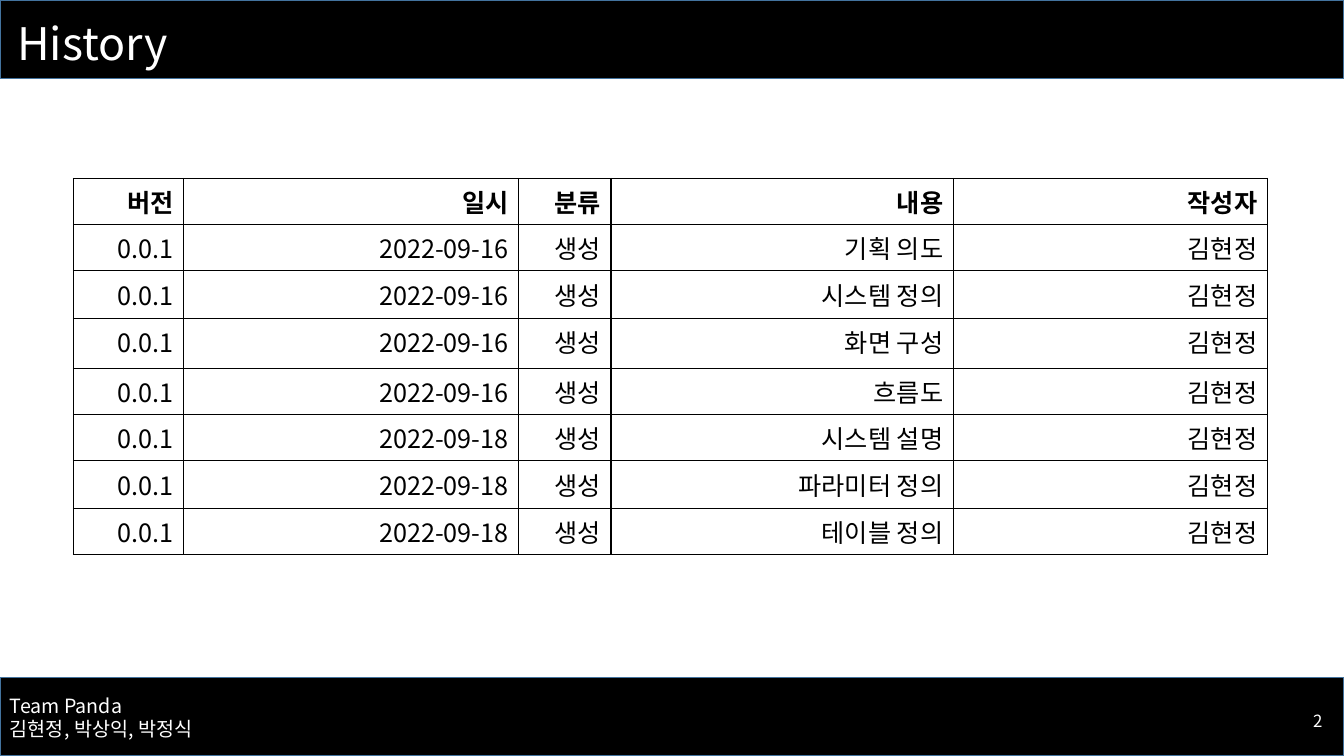
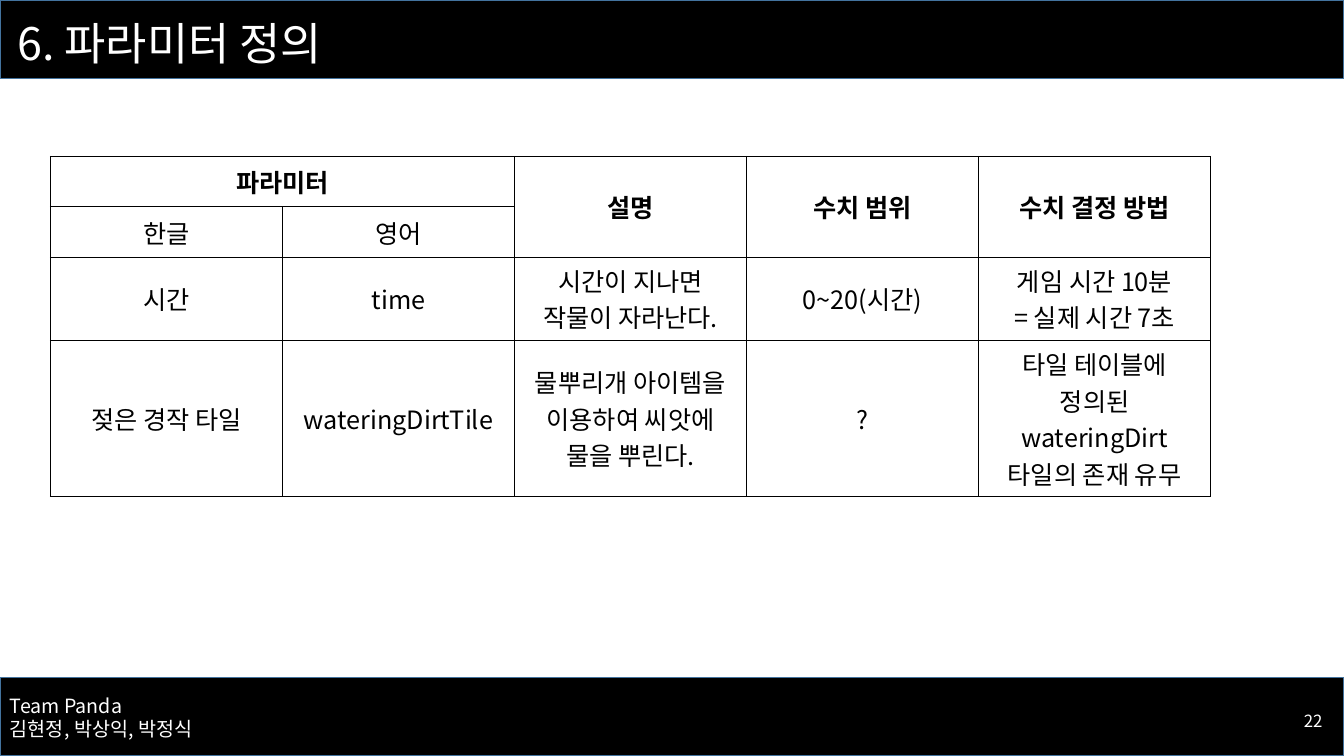
from lxml import etree
from pptx import Presentation
from pptx import util as u
from pptx.dml.color import RGBColor
from pptx.enum import shapes, text
from pptx.oxml.ns import qn

PX = 9525  # EMU per px: the slide is 1280 x 720 px
FONT = "Noto Sans CJK KR"
BLACK = RGBColor(0x00, 0x00, 0x00)
WHITE = RGBColor(0xFF, 0xFF, 0xFF)
BAND_EDGE = RGBColor(0x43, 0x73, 0x9E)
LEFT, CENTER, RIGHT = text.PP_ALIGN.LEFT, text.PP_ALIGN.CENTER, text.PP_ALIGN.RIGHT
TOP, MIDDLE = text.MSO_ANCHOR.TOP, text.MSO_ANCHOR.MIDDLE

BAND_TOPS = (0, 645)
BAND_HEIGHT = 75
TEAM = "Team Panda\n김현정, 박상익, 박정식"

# The header row of the history is followed by one row per change
changes = [
    ("2022-09-16", "기획 의도"),
    ("2022-09-16", "시스템 정의"),
    ("2022-09-16", "화면 구성"),
    ("2022-09-16", "흐름도"),
    ("2022-09-18", "시스템 설명"),
    ("2022-09-18", "파라미터 정의"),
    ("2022-09-18", "테이블 정의"),
]
history = [("버전", "일시", "분류", "내용", "작성자")]
history += [("0.0.1", day, "생성", topic, "김현정") for day, topic in changes]

parameters = [
    ("파라미터", "", "설명", "수치 범위", "수치 결정 방법"),
    ("한글", "영어", "", "", ""),
    ("시간", "time", "시간이 지나면 작물이 자라난다.", "0~20(시간)",
     "게임 시간 10분\n= 실제 시간 7초"),
    ("젖은 경작 타일", "wateringDirtTile",
     "물뿌리개 아이템을 이용하여 씨앗에 물을 뿌린다.", "?",
     "타일 테이블에 정의된 wateringDirt 타일의 존재 유무"),
]

pages = [
    dict(title="History", number=2, rows=history, corner=(70, 170),
         widths=(105, 319, 88, 326, 299), heights=(44, 44, 45, 48, 44, 44, 45, 44),
         align=RIGHT, anchor=TOP, merges=()),
    dict(title="6. 파라미터 정의", number=22, rows=parameters, corner=(48, 149),
         widths=(221,) * 5, heights=(48, 48, 79, 149),
         align=CENTER, anchor=MIDDLE,
         merges=((0, 0, 0, 1), (0, 2, 1, 2), (0, 3, 1, 3), (0, 4, 1, 4))),
]


def write(frame, words, size, color, align=LEFT, bold=False, spacing=None):
    """Fill a text frame, one paragraph a line, in the deck's font."""
    frame.text = words
    for paragraph in frame.paragraphs:
        paragraph.alignment = align
        paragraph.line_spacing = spacing
        font = paragraph.font
        font.size, font.bold, font.name = u.Pt(size), bold, FONT
        font.color.rgb = color
        defaults = paragraph._p.pPr.find(qn("a:defRPr"))
        etree.SubElement(defaults, qn("a:ea"), typeface=FONT)


def outline(cell):
    """Draw a thin black border on all four sides of a table cell."""
    properties = cell._tc.get_or_add_tcPr()
    for side in ("a:lnL", "a:lnR", "a:lnT", "a:lnB"):
        border = etree.SubElement(properties, qn(side), w=str(u.Pt(1)))
        fill = etree.SubElement(border, qn("a:solidFill"))
        etree.SubElement(fill, qn("a:srgbClr"), val=str(BLACK))


deck = Presentation()
deck.slide_width, deck.slide_height = 1280 * PX, 720 * PX

for page in pages:
    slide = deck.slides.add_slide(deck.slide_layouts[6])

    for top in BAND_TOPS:
        band = slide.shapes.add_shape(
            shapes.MSO_SHAPE.RECTANGLE, 0, top * PX, 1280 * PX, BAND_HEIGHT * PX)
        band.shadow.inherit = False
        band.fill.solid()
        band.fill.fore_color.rgb = BLACK
        band.line.color.rgb = BAND_EDGE
        band.line.width = u.Pt(1)

    for words, box, size, align, anchor, spacing in (
        (TEAM, (0, 656, 288, 55), 14, LEFT, TOP, None),
        (str(page["number"]), (981, 667, 288, 38), 12, RIGHT, MIDDLE, None),
        (page["title"], (7, 3, 1104, 82), 32, LEFT, MIDDLE, 0.9),
    ):
        frame = slide.shapes.add_textbox(*(side * PX for side in box)).text_frame
        frame.word_wrap = True
        frame.vertical_anchor = anchor
        write(frame, words, size, WHITE, align, spacing=spacing)

    rows, widths, heights = page["rows"], page["widths"], page["heights"]
    left, top = page["corner"]
    table = slide.shapes.add_table(
        len(rows), len(widths), left * PX, top * PX,
        sum(widths) * PX, sum(heights) * PX).table
    table.first_row = table.horz_banding = False
    for column, width in zip(table.columns, widths):
        column.width = width * PX
    for row, height in zip(table.rows, heights):
        row.height = height * PX

    for r, row in enumerate(rows):
        for c, words in enumerate(row):
            cell = table.cell(r, c)
            outline(cell)
            cell.fill.background()
            cell.vertical_anchor = page["anchor"]
            write(cell.text_frame, words, 18, BLACK, page["align"], bold=r == 0)
    for r1, c1, r2, c2 in page["merges"]:
        table.cell(r1, c1).merge(table.cell(r2, c2))

deck.save("out.pptx")
